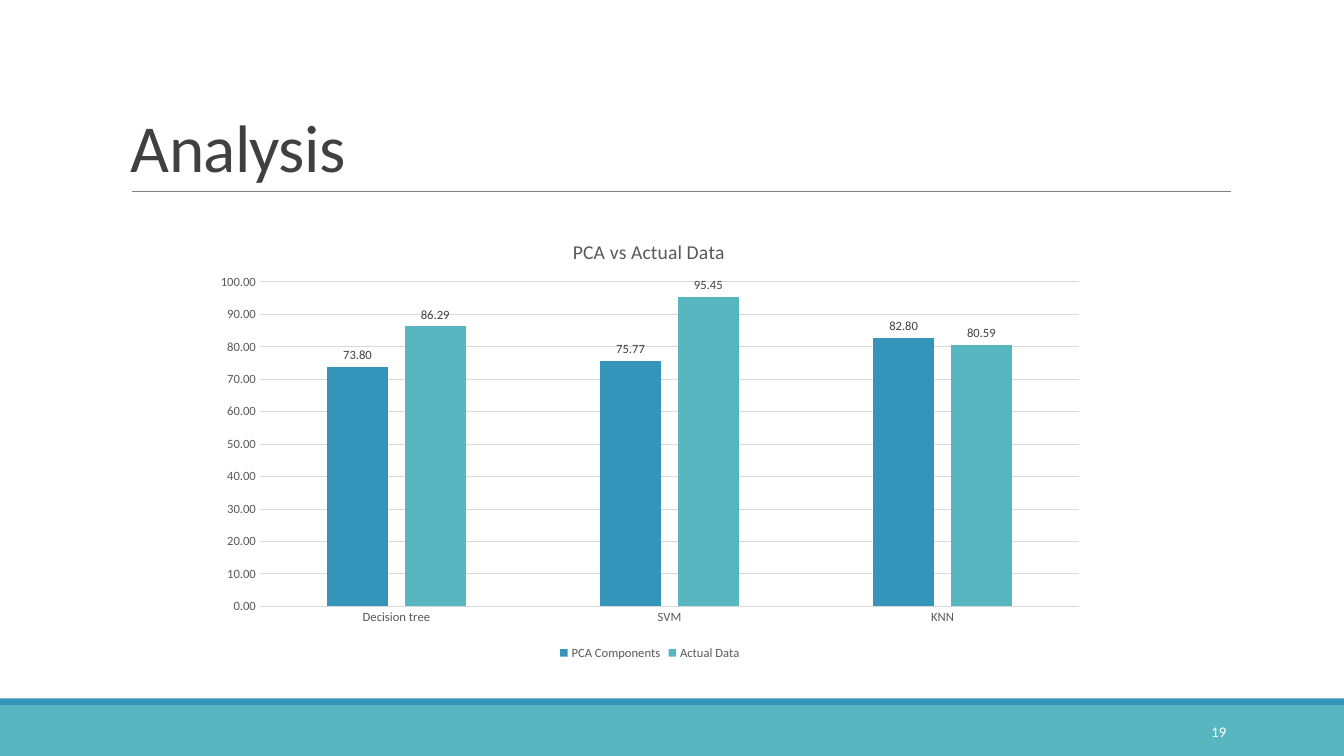
from lxml.etree import SubElement
from pptx import Presentation
from pptx.chart.data import CategoryChartData
from pptx.dml.color import RGBColor
from pptx.enum.chart import XL_CHART_TYPE, XL_LABEL_POSITION, XL_LEGEND_POSITION, XL_TICK_MARK
from pptx.enum.shapes import MSO_CONNECTOR, MSO_SHAPE
from pptx.enum.text import MSO_ANCHOR, PP_ALIGN
from pptx.oxml import parse_xml
from pptx.oxml.ns import nsdecls, qn
from pptx.util import Inches, Pt

FONT = "Calibri"
BLUE, TEAL, GRID, GREY, DARK = "3494BA", "58B6C0", "D9D9D9", "595959", "404040"

TITLE = "Analysis"
PAGE_NUMBER = "19"
CHART_TITLE = "PCA vs Actual Data"
CATEGORIES = ["Decision tree", "SVM", "KNN"]
SERIES = [
    ("PCA Components", [73.80, 75.77, 82.80], BLUE),
    ("Actual Data", [86.29, 95.45, 80.59], TEAL),
]
FOOTER_BANDS = [(7, 0.5, TEAL), (6.93, 0.07, BLUE)]
TITLE_PLACE = {"x": 0.41, "y": 0.04}
PLOT_PLACE = {"x": 0.064, "y": 0.146, "w": 0.916, "h": 0.725}


def color(value):
    return RGBColor.from_string(value)


def set_font(font, size, value):
    font.name, font.size, font.bold = FONT, Pt(size), False
    font.color.rgb = color(value)


def set_line(line, value, width):
    line.color.rgb = color(value)
    line.width = Pt(width)


def add_text(slide, box, text, size, value, anchor, align):
    frame = slide.shapes.add_textbox(*map(Inches, box)).text_frame
    frame.word_wrap = True
    frame.vertical_anchor = anchor
    paragraph = frame.paragraphs[0]
    paragraph.text = text
    paragraph.alignment = align
    set_font(paragraph.font, size, value)
    return paragraph


def place(element, fractions, inner=False):
    """Give a chart title or plot area a fixed place, in fractions of the chart."""
    for layout in element.findall(qn("c:layout")):
        element.remove(layout)
    target = '<c:layoutTarget val="inner"/>' if inner else ""
    modes = "".join(f'<c:{key}Mode val="edge"/>' for key in "xy")
    values = "".join(f'<c:{key} val="{value}"/>' for key, value in fractions.items())
    layout = parse_xml(
        f'<c:layout {nsdecls("c")}><c:manualLayout>{target}{modes}{values}'
        "</c:manualLayout></c:layout>"
    )
    text = element.find(qn("c:tx"))
    element.insert(0 if text is None else element.index(text) + 1, layout)


def add_column_chart(slide):
    data = CategoryChartData(number_format="0.00")
    data.categories = CATEGORIES
    for name, values, _ in SERIES:
        data.add_series(name, values)
    box = map(Inches, (2.01, 2.15, 8.87, 4.44))
    chart = slide.shapes.add_chart(XL_CHART_TYPE.COLUMN_CLUSTERED, *box, data).chart
    set_font(chart.font, 10, "000000")

    chart.has_title = True
    paragraph = chart.chart_title.text_frame.paragraphs[0]
    paragraph.text = CHART_TITLE
    set_font(paragraph.font, 14, GREY)
    chart.chart_title.include_in_layout = False

    chart.has_legend = True
    chart.legend.position = XL_LEGEND_POSITION.BOTTOM
    chart.legend.include_in_layout = False
    set_font(chart.legend.font, 9, GREY)

    for axis in (chart.category_axis, chart.value_axis):
        axis.major_tick_mark = axis.minor_tick_mark = XL_TICK_MARK.NONE
        set_font(axis.tick_labels.font, 9, GREY)
    set_line(chart.category_axis.format.line, GRID, 0.75)
    value_axis = chart.value_axis
    value_axis.minimum_scale, value_axis.maximum_scale, value_axis.major_unit = 0, 100, 10
    value_axis.format.line.fill.background()
    set_line(value_axis.major_gridlines.format.line, GRID, 0.75)
    value_axis.tick_labels.number_format = "0.00"
    value_axis.tick_labels.number_format_is_linked = False

    plot = chart.plots[0]
    plot.gap_width, plot.overlap, plot.vary_by_categories = 219, -27, False
    for series, (_, _, fill) in zip(plot.series, SERIES):
        series.format.fill.solid()
        series.format.fill.fore_color.rgb = color(fill)
        labels = series.data_labels
        labels.show_value = True
        labels.position = XL_LABEL_POSITION.OUTSIDE_END
        labels.number_format = "0.00"
        labels.number_format_is_linked = False
        set_font(labels.font, 9, DARK)

    chart_element = chart.element.find(qn("c:chart"))
    place(chart_element.find(qn("c:title")), TITLE_PLACE)
    place(chart_element.find(qn("c:plotArea")), PLOT_PLACE, inner=True)


def main():
    presentation = Presentation()
    presentation.slide_width, presentation.slide_height = Inches(13.33), Inches(7.5)
    slide = presentation.slides.add_slide(presentation.slide_layouts[6])

    for top, height, fill in FOOTER_BANDS:
        band = slide.shapes.add_shape(
            MSO_SHAPE.RECTANGLE, 0, Inches(top), presentation.slide_width, Inches(height)
        )
        band.shadow.inherit = False
        band.fill.solid()
        band.fill.fore_color.rgb = color(fill)
        band.line.fill.background()

    rule = slide.shapes.add_connector(
        MSO_CONNECTOR.STRAIGHT, *map(Inches, (1.31, 1.9, 12.21, 1.9))
    )
    set_line(rule.line, "808080", 0.5)
    SubElement(rule.element.spPr, qn("a:effectLst"))

    title = add_text(slide, (1.2, 0.31, 11, 1.59), TITLE, 48, DARK,
                     MSO_ANCHOR.BOTTOM, PP_ALIGN.LEFT)
    title.line_spacing = 0.85
    title.runs[0].font._element.set("spc", "-50")
    add_text(slide, (10.83, 7.06, 1.43, 0.4), PAGE_NUMBER, 10.5, "FFFFFF",
             MSO_ANCHOR.MIDDLE, PP_ALIGN.RIGHT)
    add_column_chart(slide)
    presentation.save("out.pptx")


if __name__ == "__main__":
    main()
